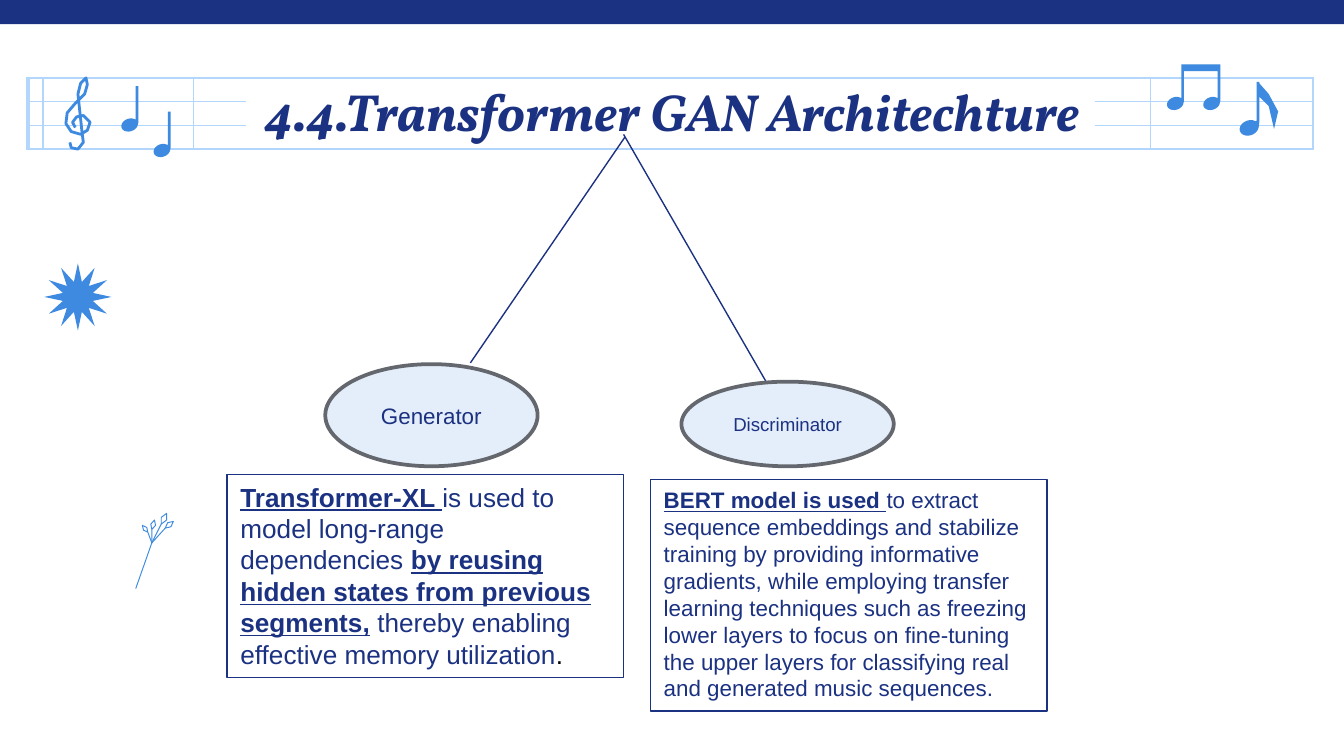
"""Build the Transformer GAN architecture slide with its music staff decoration."""
from math import cos, pi, sin
from lxml.etree import SubElement
from pptx import Presentation
from pptx.dml.color import RGBColor
from pptx.enum.shapes import MSO_CONNECTOR as CONNECTOR, MSO_SHAPE as SHAPE
from pptx.enum.text import MSO_ANCHOR as ANCHOR, MSO_AUTO_SIZE as FIT, PP_ALIGN as ALIGN
from pptx.oxml.ns import qn
from pptx.util import Pt

COLORS = {"navy": "1B3181", "staff": "B3D6FD", "note": "3D8AE0",
          "bubble": "E4EEFA", "rim": "64686E", "black": "000000"}
RGB = {name: RGBColor.from_string(value) for name, value in COLORS.items()}
PLAIN = {"name": "Arial", "bold": False, "underline": False}
STRONG = PLAIN | {"bold": True, "underline": True}
TITLE = {"name": "Vollkorn", "bold": True, "italic": True}

deck = Presentation()
deck.slide_width, deck.slide_height = Pt(720), Pt(405)
page = deck.slides.add_slide(deck.slide_layouts[5])


def write_text(frame, align, size, spans):
    para = frame.paragraphs[0]
    para.alignment = align
    for text, style, color in spans:
        span = para.add_run()
        span.text = text
        for name, value in style.items():
            setattr(span.font, name, value)
        span.font.size = Pt(size)
        span.font.color.rgb = RGB[color]


def draw_outline(contours, left, top, weight):
    """Draw contours given in 0.72 pt units, filled when the line weight is zero."""
    builder = None
    for contour in contours:
        points = [((x + left) * 72, (y + top) * 72) for x, y in contour]
        if builder is None:
            builder = page.shapes.build_freeform(*points[0], scale=Pt(0.01))
        else:
            builder.move_to(*points[0])
        builder.add_line_segments(points[1:], close=not weight)
    outline = builder.convert_to_shape()
    outline.shadow.inherit = False
    if weight:
        outline.fill.background()
        outline.line.color.rgb = RGB["note"]
        outline.line.width = Pt(weight)
    else:
        outline.fill.solid()
        outline.fill.fore_color.rgb = RGB["note"]
        outline.line.fill.background()


title = page.shapes.title
title.left, title.top, title.width, title.height = Pt(56.16), Pt(35.28), Pt(607.68), Pt(45.36)
frame = title.text_frame
for side in ("left", "top", "right", "bottom"):
    setattr(frame, f"margin_{side}", Pt(7.2))
frame.word_wrap, frame.auto_size, frame.vertical_anchor = True, FIT.NONE, ANCHOR.TOP
write_text(frame, ALIGN.CENTER, 28, [("4.4.Transformer GAN Architechture", TITLE, "navy")])

staff_left, staff_right, staff_top, staff_bottom = 15.12, 703.44, 41.04, 80.64
lines = [(staff_left, y, staff_right, y, "staff", 0.75) for y in (41.76, 79.92)]
lines += [(x, y, x + 116.64, y, "staff", 0.75)
          for x in (staff_left, staff_right - 116.64) for y in (54.5, 67.2)]
lines += [(x, staff_top, x, staff_bottom, "staff", width) for x, width in
          ((23.04, 1.5), (staff_left, 2.25), (staff_right, 0.75), (103.68, 0.75), (616.32, 0.75))]
lines += [(334.8, 73.44, 252, 194.4, "navy", 0.75), (334.08, 72, 410.4, 204.48, "navy", 0.75)]
for x1, y1, x2, y2, color, width in lines:
    line = page.shapes.add_connector(CONNECTOR.STRAIGHT, Pt(x1), Pt(y1), Pt(x2), Pt(y2))
    line.line.color.rgb = RGB[color]
    line.line.width = Pt(width)
    SubElement(line._element.spPr, qn("a:effectLst"))

turns = [pi * (0.2 + step / 10) for step in range(18)]
head = [(6.5 + 6 * cos(turn) - 1.5 * sin(turn), 29 - 2 * cos(turn) - 4.5 * sin(turn))
        for turn in turns]
right_head = [(x + 27, y) for x, y in head]
quarter_note = [(11, 0), (11, 25), *head, (13, 27), (13, 0)]
beamed_notes = [(11, 0), (11, 25), *head, (13, 27), (13, 5), (38, 5), (38, 25),
                *right_head, (40, 27), (40, 0)]
flag = [(15, 11), (22, 18), (26, 35), (29, 22), (22, 9), (15, 1)]
eighth_note = [(13, 0), (13, 29), *[(x * 1.15, y * 1.18) for x, y in head],
               (15, 30), *flag, (15, 0)]

clef = [(56, 95), (54, 91), (57, 87), (62, 86), (67, 91), (65, 97), (60, 100), (53, 98),
        (49, 92), (50, 84), (56, 77), (63, 70), (65, 63), (64, 58), (60, 62), (58, 70),
        (61, 98), (62, 106), (58, 111), (53, 110), (52, 106)]

fork = (13, 24)
sprig = [[(1, 58), fork]]
for base_x, base_y, tip_x, tip_y in ((20, 10, 24, 2), (23, 13, 29, 8),
                                     (13, 14, 15, 7), (10, 16, 6, 11)):
    middle_x, middle_y = (base_x + tip_x) / 2, (base_y + tip_y) / 2
    bulge_x, bulge_y = (tip_y - base_y) / 4, (base_x - tip_x) / 4
    base = (base_x, base_y)
    sprig.append([fork, base, (middle_x + bulge_x, middle_y + bulge_y), (tip_x, tip_y),
                  (middle_x - bulge_x, middle_y - bulge_y), base])

for contours, left, top, weight in (
        (sprig, 100, 380, 0.5), ([clef], 0, 0, 1.5), ([quarter_note], 90, 64, 0),
        ([quarter_note], 114, 83, 0), ([beamed_notes], 868, 48, 0), ([eighth_note], 922, 61, 0)):
    draw_outline(contours, left, top, weight)

generator_text = [
    ("Transformer-XL ", STRONG, "navy"),
    ("is used to model long-range dependencies ", PLAIN, "navy"),
    ("by reusing hidden states from previous segments,", STRONG, "navy"),
    (" thereby enabling effective memory utilization", PLAIN, "navy"),
    (".", PLAIN, "black"),
]
discriminator_text = [
    ("BERT model is used ", STRONG, "navy"),
    ("to extract sequence embeddings and stabilize training by providing informative "
     "gradients, while employing transfer learning techniques such as freezing lower layers "
     "to focus on fine-tuning the upper layers for classifying real and generated music "
     "sequences.", PLAIN, "navy"),
]
shapes = [
    (SHAPE.RECTANGLE, 0, 0, 720, 12.96, "navy", None, 0, 0, []),
    (SHAPE.STAR_12_POINT, 23.76, 141.12, 36, 36, "note", None, 0, 0, []),
    (SHAPE.OVAL, 174.24, 195.12, 113.76, 54.72, "bubble", "rim", 2, 12,
     [("Generator", PLAIN, "navy")]),
    (SHAPE.OVAL, 365.04, 204.48, 113.76, 45.36, "bubble", "rim", 2, 10,
     [("Discriminator", PLAIN, "navy")]),
    (SHAPE.RECTANGLE, 121.68, 254.16, 212.4, 108.72, None, "navy", 0.75, 14, generator_text),
    (SHAPE.RECTANGLE, 348.48, 257.04, 212.4, 123.84, None, "navy", 0.75, 12,
     discriminator_text),
]
for kind, left, top, width, height, fill, rim, weight, size, spans in shapes:
    box = page.shapes.add_shape(kind, Pt(left), Pt(top), Pt(width), Pt(height))
    box.shadow.inherit = False
    if kind == SHAPE.STAR_12_POINT:
        box.adjustments[0] = 0.23
    if fill:
        box.fill.solid()
        box.fill.fore_color.rgb = RGB[fill]
    else:
        box.fill.background()
    if rim:
        box.line.color.rgb = RGB[rim]
        box.line.width = Pt(weight)
    else:
        box.line.fill.background()
    if spans:
        frame = box.text_frame
        frame.word_wrap = True
        frame.vertical_anchor = ANCHOR.MIDDLE if fill else ANCHOR.TOP
        frame.auto_size = FIT.NONE if fill else FIT.SHAPE_TO_FIT_TEXT
        write_text(frame, ALIGN.CENTER if fill else ALIGN.LEFT, size, spans)

deck.save("out.pptx")
